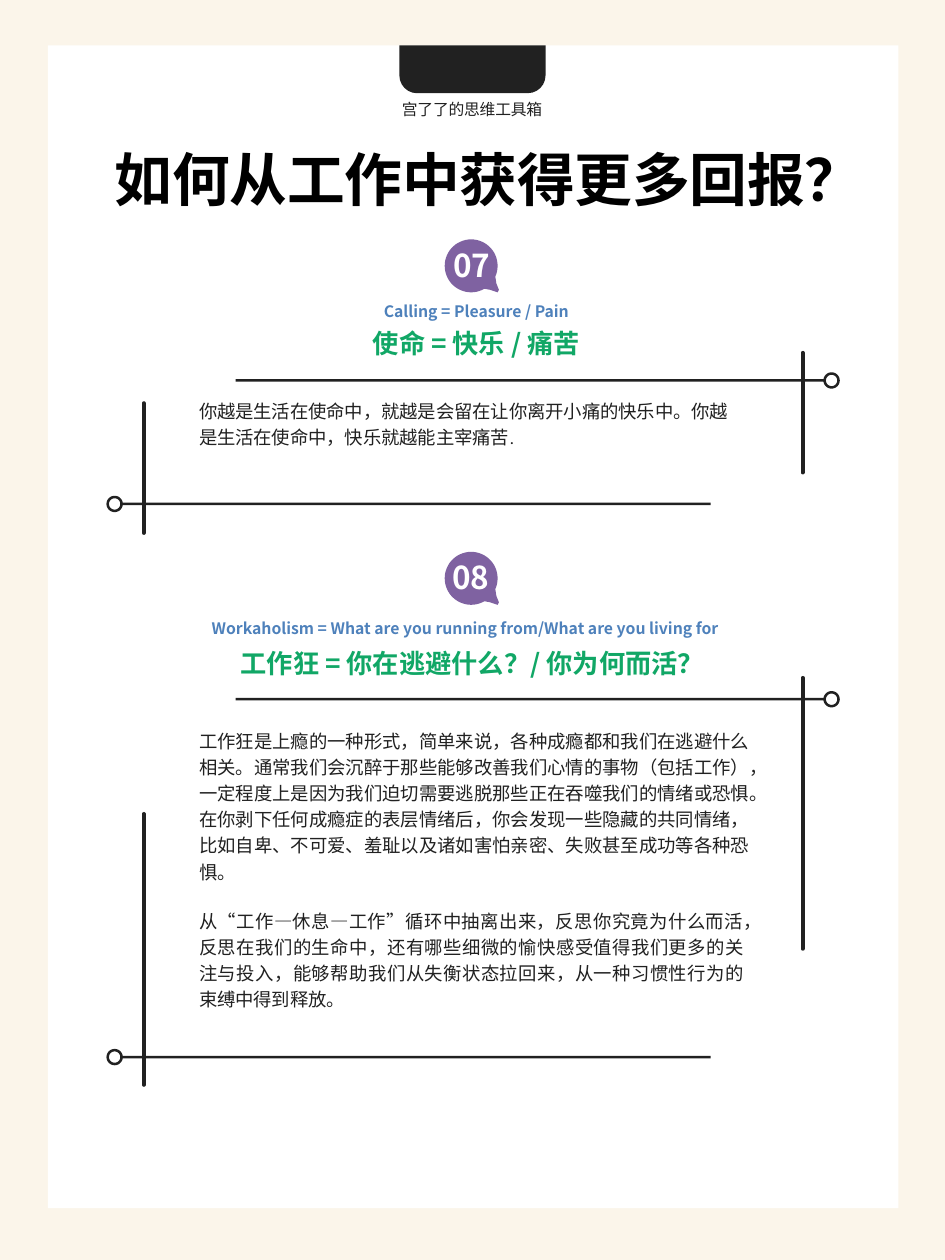
import math
from lxml import etree
from pptx import Presentation
from pptx import util as u
from pptx.dml import color
from pptx.enum import shapes, text
from pptx.oxml import ns

INK, PURPLE, BLUE, GREEN = "212121", "7F62A1", "4E81BB", "11A766"
NOTO, ROBOTO = "Noto Sans CJK SC", "Roboto"
LEFT, CENTER, JUSTIFY = text.PP_ALIGN.LEFT, text.PP_ALIGN.CENTER, text.PP_ALIGN.JUSTIFY
BODY_PITCH = u.Pt(14.95)


def rgb(value):
    return color.RGBColor.from_string(value)


def add_text(left, top, width, height, rows, inset=0.01, tracking=0):
    """Each row: wording, size, colour, font, bold, alignment, indent, space before, line spacing."""
    box = page.shapes.add_textbox(*map(u.Inches, (left, top, width, height)))
    frame = box.text_frame
    frame.word_wrap = True
    frame.margin_left = frame.margin_right = frame.margin_bottom = 0
    frame.margin_top = u.Inches(inset)
    for index, (words, size, ink, face, bold, align, indent, before, spacing) in enumerate(rows):
        para = frame.add_paragraph() if index else frame.paragraphs[0]
        para.text = words
        para.alignment = align
        para.line_spacing = spacing
        if index:
            para.space_before = u.Pt(before)
        para._p.get_or_add_pPr().set("marL", str(u.Inches(indent)))
        for span in para.runs:
            span.font.size, span.font.bold, span.font.name = u.Pt(size), bold, face
            span.font.color.rgb = rgb(ink)
            properties = span._r.get_or_add_rPr()
            properties.set("lang", "zh-CN")
            properties.set("spc", str(tracking))
            etree.SubElement(properties, ns.qn("a:ea")).set("typeface", NOTO)


deck = Presentation()
deck.slide_width, deck.slide_height = u.Inches(7.5), u.Inches(10)
page = deck.slides.add_slide(deck.slide_layouts[6])
page.background.fill.solid()
page.background.fill.fore_color.rgb = rgb("FBF5EA")

# White sheet and the dark clip at its top
for kind, area, fill in (
    (shapes.MSO_SHAPE.RECTANGLE, (0.38, 0.36, 6.75, 9.23), "FFFFFF"),
    (shapes.MSO_SHAPE.ROUND_2_SAME_RECTANGLE, (3.17, 0.36, 1.16, 0.38), INK),
):
    panel = page.shapes.add_shape(kind, *map(u.Inches, area))
    panel.shadow.inherit = False
    panel.fill.solid()
    panel.fill.fore_color.rgb = rgb(fill)
    panel.line.fill.background()
panel.adjustments[0], panel.adjustments[1] = 0, 0.37

# Each outline: its colour and its contours, as points in inches
outlines = []

# Purple speech bubbles: an open circle closed by a small tail
for middle in (2.11, 4.59):
    arc = [(3.74 + 0.21 * math.cos(math.radians(angle)), middle + 0.21 * math.sin(math.radians(angle)))
           for angle in range(60, 387, 6)]
    tail = [(3.94, middle + 0.14), (3.96, middle + 0.19), (3.95, middle + 0.21), (3.89, middle + 0.19)]
    outlines.append((PURPLE, [arc + tail]))

# Corner brackets: an upright, and a bar that ends in a ring
for upright, top, bottom, level, inner, ring_middle in (
    (6.37, 2.8, 3.75, 3.02, 1.87, 6.6),
    (6.37, 5.38, 7.53, 5.55, 1.87, 6.6),
    (1.14, 3.2, 4.23, 4, 5.64, 0.91),
    (1.14, 6.46, 8.61, 8.39, 5.64, 0.91),
):
    line = page.shapes.add_connector(
        shapes.MSO_CONNECTOR.STRAIGHT, *map(u.Inches, (upright, top, upright, bottom)))
    line.line.color.rgb = rgb(INK)
    line.line.width = u.Pt(2.25)
    line.line._get_or_add_ln().set("cap", "rnd")
    etree.SubElement(line._element.spPr, ns.qn("a:effectLst"))

    toward = math.copysign(1, inner - ring_middle)
    rim, hole = ([(ring_middle + toward * radius * math.cos(math.radians(angle)),
                   level + radius * math.sin(math.radians(angle)))
                  for angle in range(9, 352, 9)] for radius in (0.065, 0.045))
    outlines.append((INK, [rim + [(inner, level - 0.01), (inner, level + 0.01)], hole[::-1]]))

for fill, contours in outlines:
    first, *others = [[(u.Inches(x), u.Inches(y)) for x, y in contour] for contour in contours]
    builder = page.shapes.build_freeform(*first[0])
    builder.add_line_segments(first[1:], close=True)
    for contour in others:
        builder.move_to(*contour[0])
        builder.add_line_segments(contour[1:], close=True)
    outline = builder.convert_to_shape()
    outline.shadow.inherit = False
    outline.fill.solid()
    outline.fill.fore_color.rgb = rgb(fill)
    outline.line.fill.background()

# Heading
add_text(3.18, 0.78, 1.2, 0.16, [
    ("宫了了的思维工具箱", 9, INK, NOTO, False, LEFT, 0.01, 0, 1)], tracking=-10)
add_text(0.59, 0.92, 6.62, 0.78, [
    ("如何从工作中获得更多回报？", 33, "000000", NOTO, True, LEFT, 0.32, 0, 1)],
    inset=0.22, tracking=-10)

# Section 07
add_text(1.58, 1.94, 4.33, 1.62, [
    ("07", 18, "FFFFFF", NOTO, True, CENTER, 0, 0, 1),
    ("Calling = Pleasure / Pain", 9, BLUE, NOTO, True, CENTER, 0.07, 10.4, 1),
    ("使命 = 快乐 / 痛苦", 15, GREEN, NOTO, True, CENTER, 0.07, 3.7, 1),
    ("你越是生活在使命中，就越是会留在让你离开小痛的快乐中。你越是生活在使命中，快乐就越能主宰痛苦.",
     10.5, INK, ROBOTO, False, LEFT, 0, 21.2, BODY_PITCH),
])

# Section 08
add_text(3.58, 4.42, 0.32, 0.31, [("08", 18, "FFFFFF", NOTO, True, LEFT, 0.01, 0, 1)])
add_text(1.67, 4.9, 4.14, 0.16, [
    ("Workaholism = What are you running from/What are you living for",
     9, BLUE, NOTO, True, LEFT, 0.01, 0, 1)])
add_text(1.58, 5.13, 4.37, 1.9, [
    ("工作狂 = 你在逃避什么？/ 你为何而活？", 15, GREEN, NOTO, True, LEFT, 0.33, 0, 1),
    ("工作狂是上瘾的一种形式，简单来说，各种成瘾都和我们在逃避什么相关。通常我们会沉醉于那些能够改善我们心情的事物（包括工作），"
     "一定程度上是因为我们迫切需要逃脱那些正在吞噬我们的情绪或恐惧。在你剥下任何成瘾症的表层情绪后，你会发现一些隐藏的共同情绪，"
     "比如自卑、不可爱、羞耻以及诸如害怕亲密、失败甚至成功等各种恐惧。",
     10.5, INK, ROBOTO, False, JUSTIFY, 0, 26.8, BODY_PITCH),
])
add_text(1.58, 7.18, 4.33, 0.85, [
    ("从“工作—休息—工作”循环中抽离出来，反思你究竟为什么而活，反思在我们的生命中，还有哪些细微的愉快感受值得我们更多的关注与投入，"
     "能够帮助我们从失衡状态拉回来，从一种习惯性行为的束缚中得到释放。",
     10.5, INK, ROBOTO, False, JUSTIFY, 0, 0, BODY_PITCH),
])

deck.save("out.pptx")
